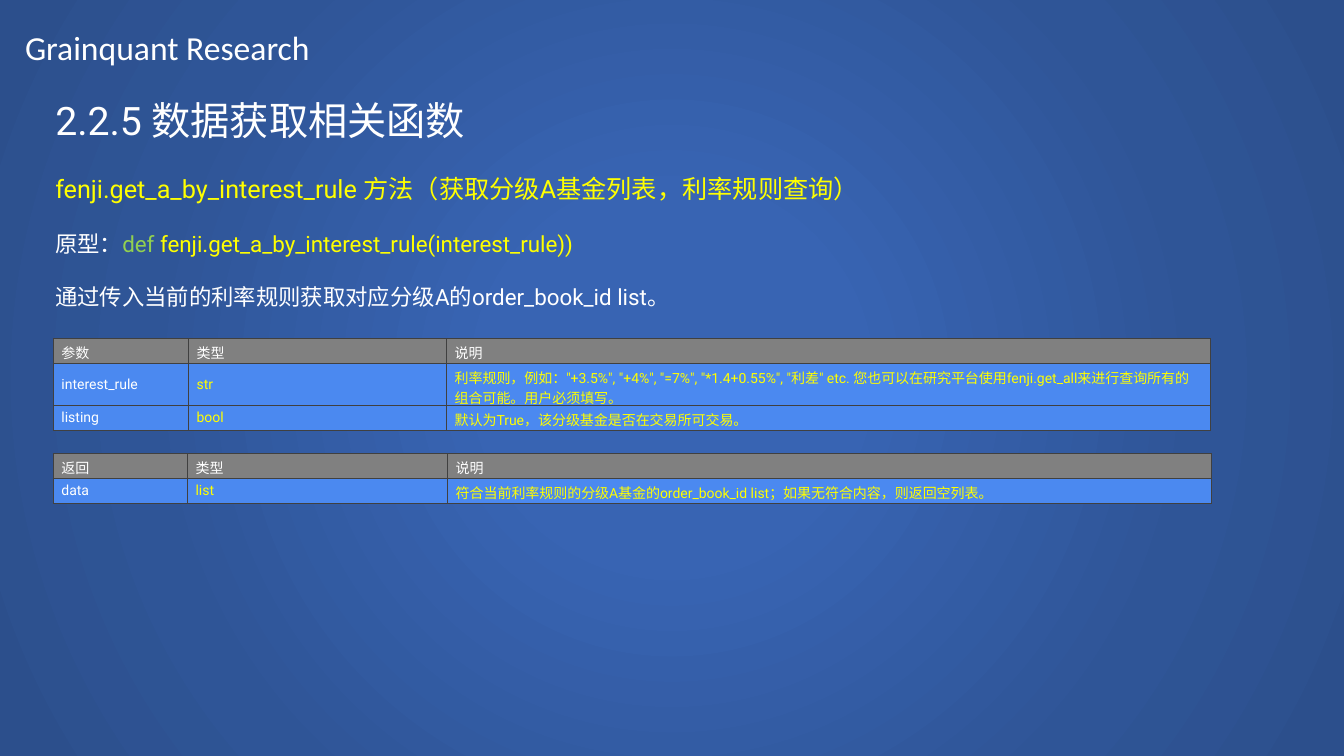
from dataclasses import dataclass

from lxml import etree
from pptx import Presentation
from pptx.dml.color import RGBColor
from pptx.enum import shapes, text
from pptx.oxml import ns
from pptx.util import Inches, Pt


@dataclass(frozen=True)
class Theme:
    white: str = "FFFFFF"
    yellow: str = "FFFF00"
    green: str = "92D050"
    header: str = "808080"
    body: str = "4B89F0"
    border: str = "404040"
    glow: tuple = ((0, "3864B3"), (23, "3864B3"), (69, "2F5597"), (97, "2C4F8C"))
    font: str = "Roboto"
    banner_font: str = "Calibri"
    title: int = 28
    banner: int = 24
    subtitle: int = 18
    text: int = 16
    cell: int = 10


THEME = Theme()


def add_node(parent, tag, **values):
    node = etree.SubElement(parent, ns.qn(tag))
    for name, value in values.items():
        node.set(name, str(value))
    return node


def add_color(parent, color):
    add_node(add_node(parent, "a:solidFill"), "a:srgbClr", val=color)


def add_background(page, width, height):
    """Cover the page with a gradient that spreads from its centre."""
    panel = page.shapes.add_shape(shapes.MSO_SHAPE.RECTANGLE, 0, 0, width, height)
    panel.shadow.inherit = False
    panel.line.fill.background()
    panel.fill.gradient()
    gradient = panel.fill._xPr.find(ns.qn("a:gradFill"))
    for child in list(gradient):
        gradient.remove(child)
    stops = add_node(gradient, "a:gsLst")
    for percent, color in THEME.glow:
        stop = add_node(stops, "a:gs", pos=percent * 1000)
        add_node(stop, "a:srgbClr", val=color)
    circle = add_node(gradient, "a:path", path="circle")
    add_node(circle, "a:fillToRect", l=50000, t=50000, r=50000, b=50000)


def add_span(para, words, size, color, font=THEME.font):
    span = para.add_run()
    span.text = words
    for name, value in {"size": Pt(size), "name": font, "bold": False}.items():
        setattr(span.font, name, value)
    span.font.color.rgb = RGBColor.from_string(color)


def add_text(page, place, paras, font=THEME.font):
    """Each paragraph is (space before, size, [(words, color), ...])."""
    box = page.shapes.add_textbox(*map(Inches, place))
    frame = box.text_frame
    frame.word_wrap = True
    for index, (gap, size, spans) in enumerate(paras):
        para = frame.add_paragraph() if index else frame.paragraphs[0]
        para.space_before = Pt(gap)
        for words, color in spans:
            add_span(para, words, size, color, font)


def add_borders(cell):
    properties = cell._tc.get_or_add_tcPr()
    for index, side in enumerate(("a:lnL", "a:lnR", "a:lnT", "a:lnB")):
        line = add_node(properties, side, w=Pt(1))
        add_color(line, THEME.border)
        properties.insert(index, line)


def fill_cell(cell, words, fill, color):
    cell_format = {
        "vertical_anchor": text.MSO_ANCHOR.MIDDLE,
        "margin_left": Inches(0.08), "margin_right": Inches(0.08),
        "margin_top": Inches(0.04), "margin_bottom": Inches(0.04),
    }
    for name, value in cell_format.items():
        setattr(cell, name, value)
    cell.fill.solid()
    cell.fill.fore_color.rgb = RGBColor.from_string(fill)
    add_borders(cell)
    add_span(cell.text_frame.paragraphs[0], words, THEME.cell, color)


def add_grid(page, top, height, widths, rows):
    """Add a table whose header and first column are white, the rest yellow."""
    place = map(Inches, (0.53, top, sum(widths), height))
    table = page.shapes.add_table(len(rows), len(widths), *place).table
    table.first_row = table.horz_banding = False
    for column, width in zip(table.columns, widths):
        column.width = Inches(width)
    for r, row in enumerate(rows):
        table.rows[r].height = Inches(0.18)
        for c, words in enumerate(row):
            fill = THEME.body if r else THEME.header
            color = THEME.yellow if r and c else THEME.white
            fill_cell(table.cell(r, c), words, fill, color)


def main():
    deck = Presentation()
    deck.slide_width, deck.slide_height = Inches(13.33), Inches(7.5)
    page = deck.slides.add_slide(deck.slide_layouts[6])
    add_background(page, deck.slide_width, deck.slide_height)

    add_text(page, (0.45, 0.91, 11.77, 4.44), [
        (0, THEME.title, [("2.2.5 数据获取相关函数", THEME.white)]),
        (21, THEME.subtitle, [
            ("fenji.get_a_by_interest_rule 方法（获取分级A基金列表，利率规则查询）", THEME.yellow)]),
        (19, THEME.text, [
            ("原型：", THEME.white),
            ("def ", THEME.green),
            ("fenji.get_a_by_interest_rule(interest_rule))", THEME.yellow)]),
        (19, THEME.text, [
            ("通过传入当前的利率规则获取对应分级A的order_book_id list。", THEME.white)]),
    ])
    add_text(page, (0.15, 0.22, 5.04, 0.5),
             [(0, THEME.banner, [("Grainquant Research", THEME.white)])],
             THEME.banner_font)

    add_grid(page, 3.36, 0.89, (1.34, 2.56, 7.58), [
        ("参数", "类型", "说明"),
        ("interest_rule", "str",
         '利率规则，例如："+3.5%", "+4%", "=7%", "*1.4+0.55%", "利差" etc. '
         "您也可以在研究平台使用fenji.get_all来进行查询所有的组合可能。用户必须填写。"),
        ("listing", "bool", "默认为True，该分级基金是否在交易所可交易。"),
    ])
    add_grid(page, 4.5, 0.48, (1.33, 2.58, 7.58), [
        ("返回", "类型", "说明"),
        ("data", "list",
         "符合当前利率规则的分级A基金的order_book_id list；如果无符合内容，则返回空列表。"),
    ])
    deck.save("out.pptx")


if __name__ == "__main__":
    main()
